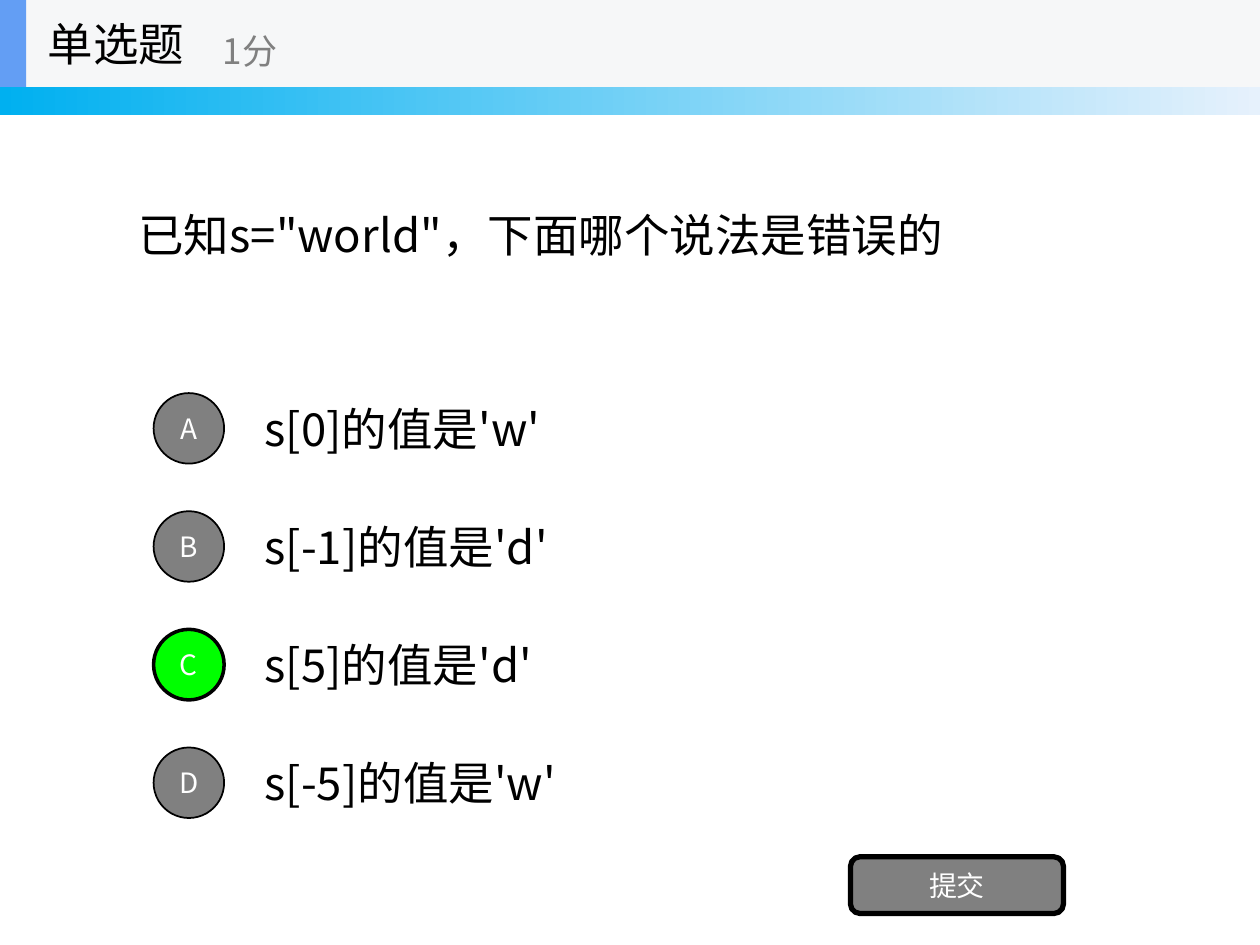
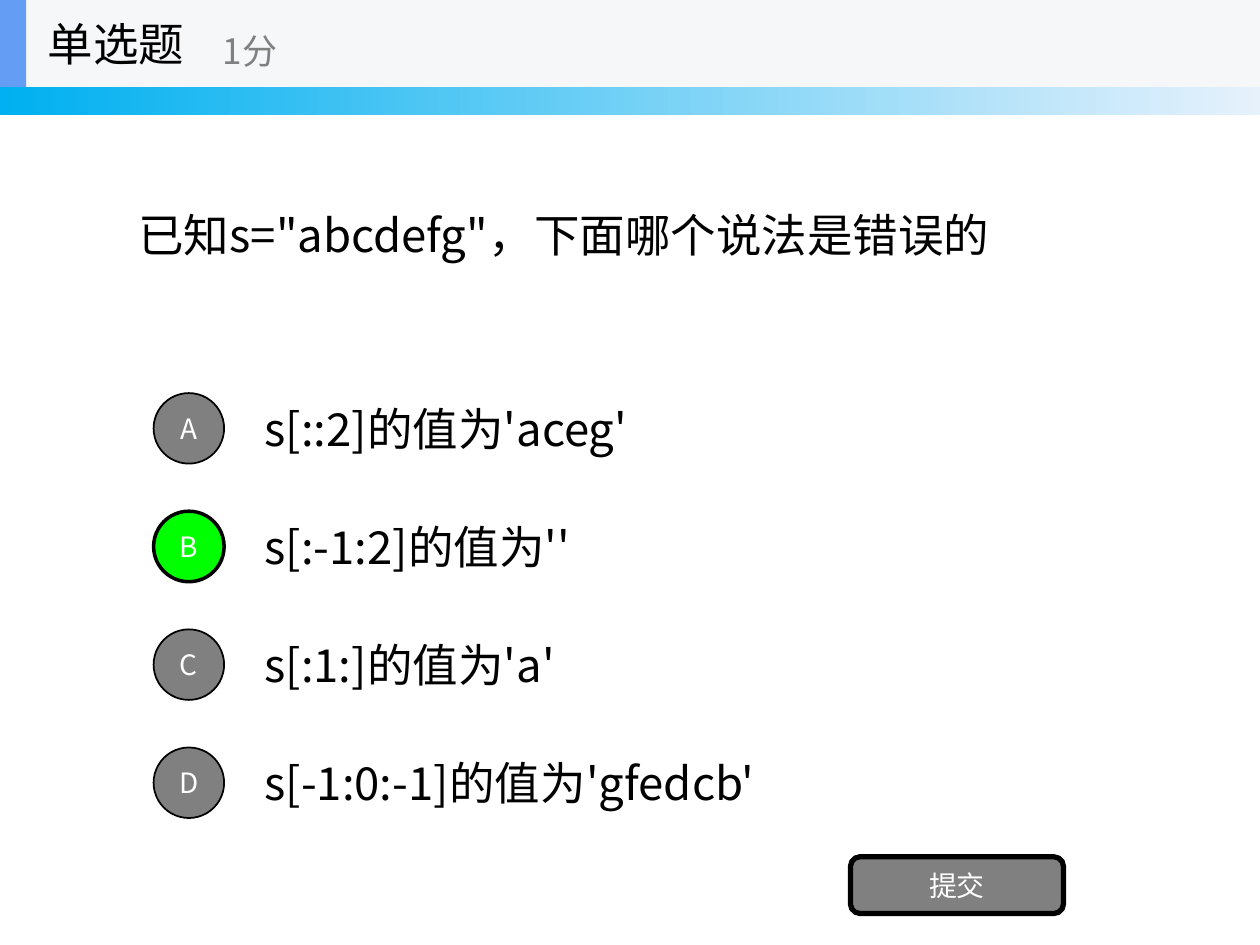
from dataclasses import dataclass

from lxml import etree
from pptx import Presentation
from pptx.dml.color import RGBColor
from pptx.enum.shapes import MSO_SHAPE
from pptx.enum.text import MSO_ANCHOR, PP_ALIGN
from pptx.oxml.ns import qn
from pptx.util import Pt

RECT = MSO_SHAPE.RECTANGLE
ROUND = MSO_SHAPE.ROUNDED_RECTANGLE
OVAL = MSO_SHAPE.OVAL
MIDDLE = MSO_ANCHOR.MIDDLE
LEFT, CENTER = PP_ALIGN.LEFT, PP_ALIGN.CENTER


@dataclass(frozen=True)
class Theme:
    font: str = "Noto Sans CJK SC"
    black: str = "000000"
    white: str = "FFFFFF"
    gray: str = "808080"
    right: str = "00FF00"
    head: str = "F6F7F8"
    mark: str = "639EF4"
    fade: tuple = ("00B0F0", "E6F1FC")
    main: int = 26
    score: int = 20
    small: int = 16


THEME = Theme()
WIDTH, HEIGHT = 720, 540
HEAD = 49.7
ROW_TOP, ROW_STEP, ROW_HEIGHT = 219.6, 67.5, 50.4
DISC = 40.3

QUIZZES = [
    ("已知s=\"world\"，下面哪个说法是错误的", "C",
     ["s[0]的值是'w'", "s[-1]的值是'd'", "s[5]的值是'd'", "s[-5]的值是'w'"]),
    ("已知s=\"abcdefg\"，下面哪个说法是错误的", "B",
     ["s[::2]的值为'aceg'", "s[:-1:2]的值为''", "s[:1:]的值为'a'",
      "s[-1:0:-1]的值为'gfedcb'"]),
]


def write(shape, text, size, color, align=LEFT):
    """Fill a shape with one line, using the theme font for both scripts."""
    frame = shape.text_frame
    frame.text = text
    frame.word_wrap = True
    frame.vertical_anchor = MIDDLE
    line = frame.paragraphs[0]
    line.alignment = align
    font = line.runs[0].font
    font.name = THEME.font
    font.size = Pt(size)
    font.color.rgb = RGBColor.from_string(color)
    latin = font._element.find(qn("a:latin"))
    east = etree.Element(qn("a:ea"), typeface=THEME.font)
    latin.addnext(east)


def draw(slide, kind, area, fill, edge=0):
    """Add a flat shape; edge is the width of its black outline."""
    shape = slide.shapes.add_shape(kind, *map(Pt, area))
    shape.shadow.inherit = False
    shape.fill.solid()
    shape.fill.fore_color.rgb = RGBColor.from_string(fill)
    if edge:
        shape.line.color.rgb = RGBColor.from_string(THEME.black)
        shape.line.width = Pt(edge)
    else:
        shape.line.fill.background()
    return shape


deck = Presentation()
deck.slide_width, deck.slide_height = Pt(WIDTH), Pt(HEIGHT)
blank = deck.slide_layouts[6]

for query, answer, choices in QUIZZES:
    slide = deck.slides.add_slide(blank)

    # Gradient band and heading strip
    band = draw(slide, RECT, (0, 0, WIDTH, 66), THEME.fade[0])
    band.fill.gradient()
    band.fill.gradient_angle = 0
    for stop, color in zip(band.fill.gradient_stops, THEME.fade):
        stop.color.rgb = RGBColor.from_string(color)
    draw(slide, RECT, (0, 0, WIDTH, HEAD), THEME.head)
    draw(slide, RECT, (0, 0, 15, HEAD), THEME.mark)

    # Heading, score and question
    labels = [
        ((20.2, 0, 150, HEAD), "单选题", THEME.main, THEME.black),
        ((120.2, 8.8, 180, 40.5), "1分", THEME.score, THEME.gray),
        ((72, HEAD, 576, 168.5), query, THEME.main, THEME.black),
    ]
    for area, text, size, color in labels:
        label = slide.shapes.add_textbox(*map(Pt, area))
        write(label, text, size, color)

    # Choices, with the answer in green
    for row, (letter, choice) in enumerate(zip("ABCD", choices)):
        top = ROW_TOP + row * ROW_STEP
        label = slide.shapes.add_textbox(Pt(144), Pt(top), Pt(504), Pt(ROW_HEIGHT))
        write(label, choice, THEME.main, THEME.black)
        chosen = letter == answer
        area = (87.8, top + (ROW_HEIGHT - DISC) / 2, DISC, DISC)
        disc = draw(slide, OVAL, area, THEME.right if chosen else THEME.gray,
                    2 if chosen else 1)
        write(disc, letter, THEME.small, THEME.white, CENTER)

    button = draw(slide, ROUND, (486, 489.6, 121.7, 32.4), THEME.gray, 3)
    write(button, "提交", THEME.small, THEME.white, CENTER)

deck.save("out.pptx")
